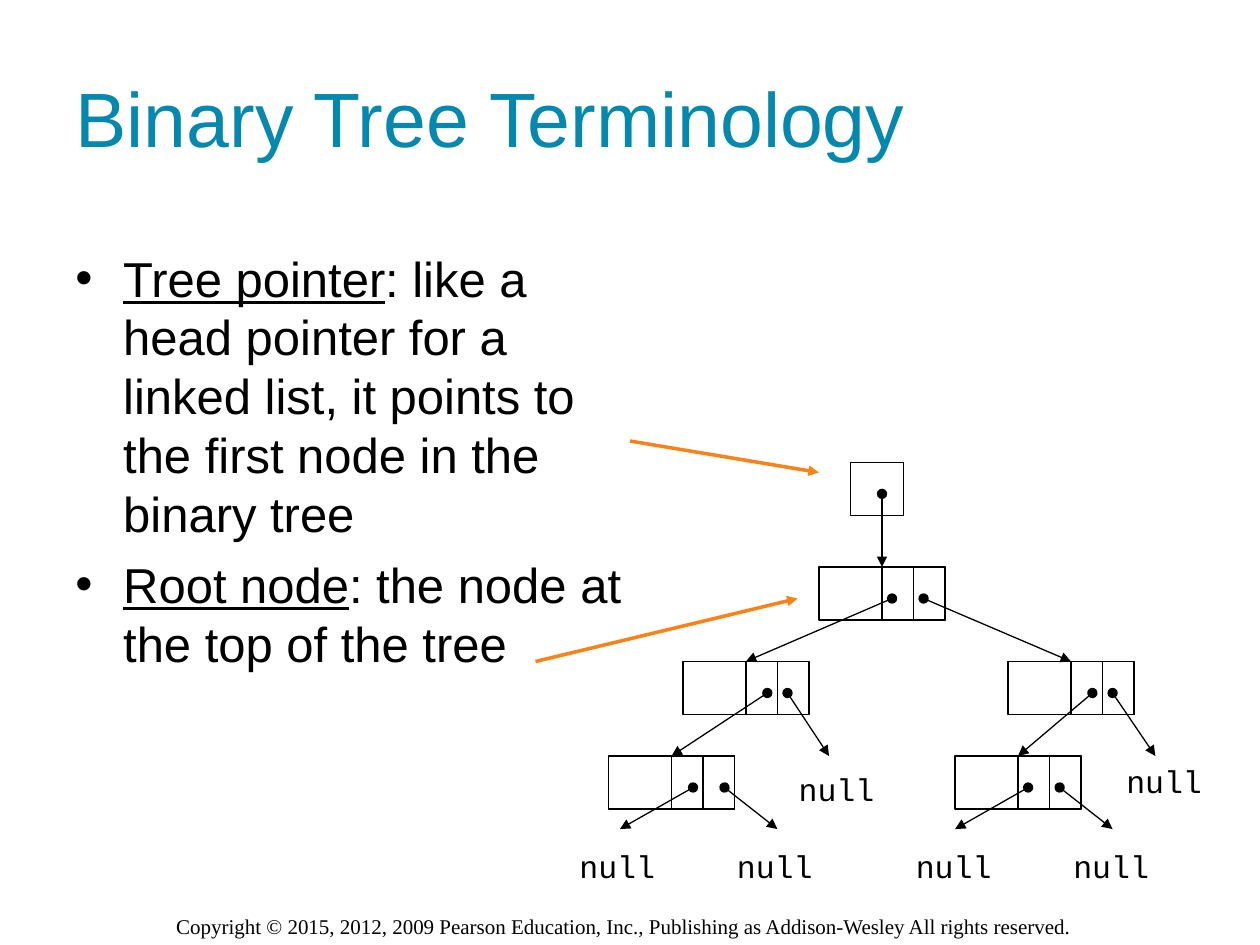
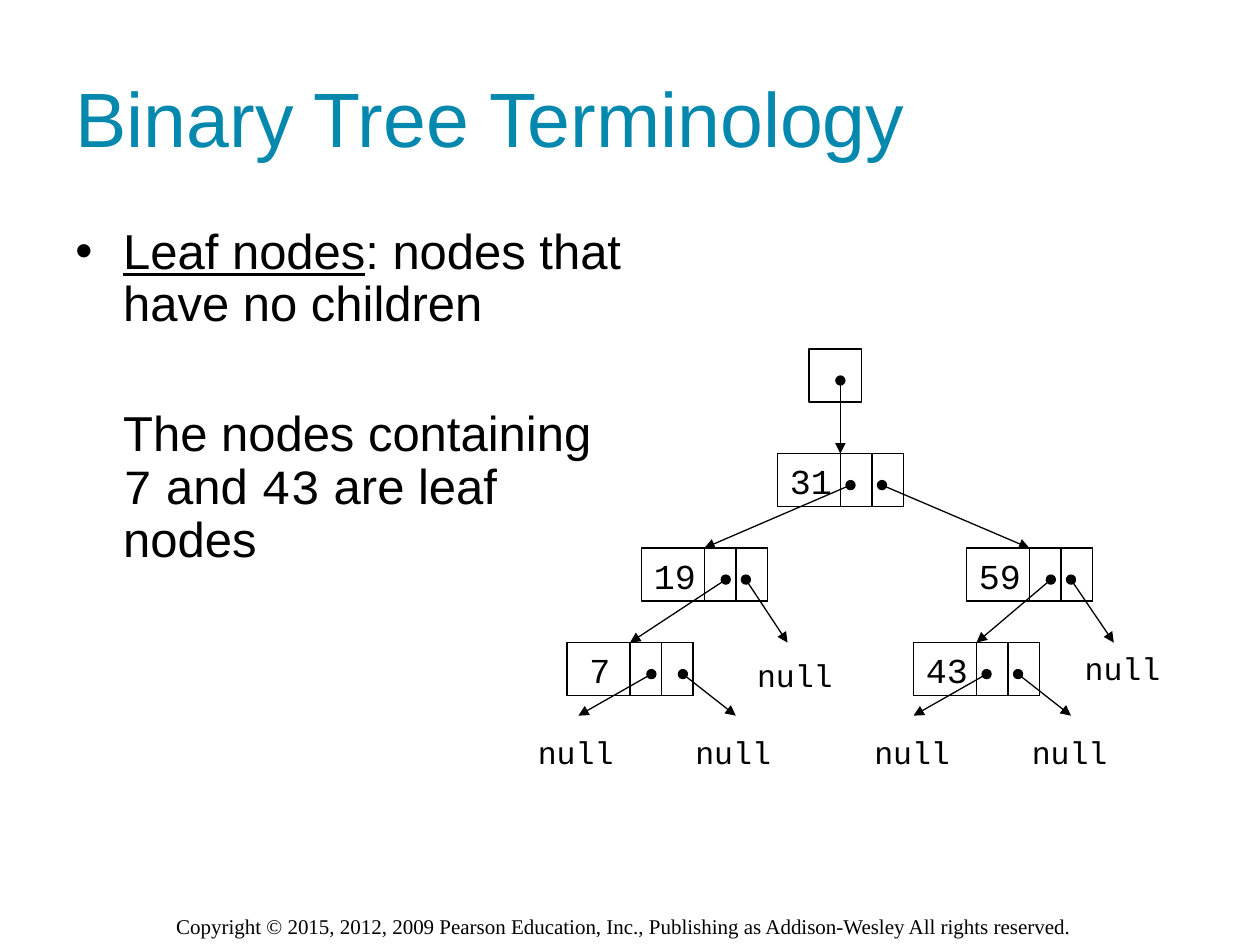
import pptx
import pptx.util
import pptx.dml.color
import pptx.enum.shapes
import pptx.enum.text
import pptx.oxml
from pptx.util import Inches, Pt

BLACK = pptx.dml.color.RGBColor(0x00, 0x00, 0x00)
TEAL = pptx.dml.color.RGBColor(0x04, 0x88, 0xAE)
ORANGE = pptx.dml.color.RGBColor(0xFA, 0x82, 0x18)
SANS, MONO, SERIF = "Arial", "Courier New", "Times New Roman"
NOTICE = ("Copyright © 2015, 2012, 2009 Pearson Education, Inc., "
          "Publishing as Addison-Wesley All rights reserved.")
NS = 'xmlns:a="http://schemas.openxmlformats.org/drawingml/2006/main"'
HIGH = 0.42  # height of a tree cell

# Places in the tree are measured from the corner of the tree pointer.
# Each node: x, y, x of its two link dots, and the two link ends.
NODES = [
    (-0.25, 0.83, (0.58, 0.83), ((-0.83, 1.58), (1.75, 1.58))),
    (1.25, 1.58, (0.67, 0.83), ((1.33, 2.33), (2.42, 2.33))),
    (-1.33, 1.58, (0.67, 0.83), ((-1.42, 2.33), (-0.17, 2.33))),
    (-1.92, 2.33, (0.67, 0.92), ((-1.83, 2.91), (-0.58, 2.91))),
    (0.83, 2.33, (0.58, 0.83), ((0.83, 2.91), (2.08, 2.91))),
]
NULLS = [(-0.51, 2.39), (2.09, 2.33), (-2.25, 3.0), (-1.0, 3.0), (0.42, 3.0), (1.67, 3.0)]

# Body paragraphs are lists of runs: text, font, underlined.
SLIDES = [
    dict(
        body=(1.92, 4.63), pitch=1.0, gap=7, tree=(6.75, 3.67), keys=[],
        text=[
            [("Tree pointer", SANS, True),
             (": like a head pointer for a linked list, it points to "
              "the first node in the binary tree", SANS, False)],
            [("Root node", SANS, True), (": the node at the top of the tree", SANS, False)],
        ],
        bullets=2,
        marks=[(5, 3.5, 6.5, 3.75), (4.25, 5.25, 6.33, 4.75)],
    ),
    dict(
        body=(1.75, 4.54), pitch=0.9, gap=44, tree=(6.42, 2.77),
        keys=["31", "59", "19", "7", "43"],
        text=[
            [("Leaf nodes", SANS, True), (": nodes that have no children", SANS, False)],
            [("The nodes containing ", SANS, False), ("7", MONO, False),
             (" and ", SANS, False), ("43", MONO, False), (" are leaf nodes", SANS, False)],
        ],
        bullets=1,
        marks=[],
    ),
]


def label(slide, text, x, y, wide, high, font, size):
    box = slide.shapes.add_textbox(Inches(x), Inches(y), Inches(wide), Inches(high))
    box.text_frame.word_wrap = True
    box.text_frame.text = text
    face = box.text_frame.paragraphs[0].runs[0].font
    face.name, face.size, face.color.rgb = font, Pt(size), BLACK


def arrow(slide, x1, y1, x2, y2, color, width, dot):
    line = slide.shapes.add_connector(
        pptx.enum.shapes.MSO_CONNECTOR.STRAIGHT,
        Inches(x1), Inches(y1), Inches(x2), Inches(y2))
    line.line.color.rgb = color
    line.line.width = Pt(width)
    ends = line.line._get_or_add_ln()
    if dot:
        ends.append(pptx.oxml.parse_xml(f'<a:headEnd {NS} type="oval"/>'))
    ends.append(pptx.oxml.parse_xml(f'<a:tailEnd {NS} type="triangle"/>'))
    line._element.spPr.append(pptx.oxml.parse_xml(f"<a:effectLst {NS}/>"))


deck = pptx.Presentation()
deck.slide_width, deck.slide_height = Inches(10), Inches(7.5)

for page in SLIDES:
    slide = deck.slides.add_slide(deck.slide_layouts[5])

    # Title and footer
    title = slide.shapes.title
    title.left, title.top = Inches(0.5), Inches(0.3)
    title.width, title.height = Inches(9), Inches(1.25)
    title.text_frame.text = "Binary Tree Terminology"
    title.text_frame.vertical_anchor = pptx.enum.text.MSO_ANCHOR.MIDDLE
    head = title.text_frame.paragraphs[0]
    head.alignment = pptx.enum.text.PP_ALIGN.LEFT
    face = head.runs[0].font
    face.name, face.size, face.color.rgb = SANS, Pt(44), TEAL
    label(slide, NOTICE, 1.3, 7.2, 7.5, 0.3, SERIF, 12)

    # Body text
    top, wide = page["body"]
    body = slide.shapes.add_textbox(Inches(0.5), Inches(top), Inches(wide), Inches(4.5))
    frame = body.text_frame
    frame.word_wrap = True
    for i, parts in enumerate(page["text"]):
        para = frame.add_paragraph() if i else frame.paragraphs[0]
        props = para._p.get_or_add_pPr()
        props.set("marL", str(Inches(0.38)))
        if i < page["bullets"]:
            props.set("indent", str(-Inches(0.38)))
            props.append(pptx.oxml.parse_xml(f'<a:buFont {NS} typeface="{SANS}"/>'))
            props.append(pptx.oxml.parse_xml(f'<a:buChar {NS} char="•"/>'))
        para.line_spacing = page["pitch"]
        if i:
            para.space_before = Pt(page["gap"])
        for text, font, under in parts:
            run = para.add_run()
            run.text = text
            run.font.name, run.font.size = font, Pt(28)
            run.font.color.rgb = BLACK
            run.font.underline = under

    # Tree cells: the pointer, then each node with its two link cells
    left, top = page["tree"]
    cells = [(0, 0, HIGH)]
    for x, y, dots, ends in NODES:
        cells += [(x, y, 1), (x + 0.75, y, 0.25), (x + 0.5, y, 0.25)]
    for x, y, wide in cells:
        cell = slide.shapes.add_shape(
            pptx.enum.shapes.MSO_SHAPE.RECTANGLE,
            Inches(left + x), Inches(top + y), Inches(wide), Inches(HIGH))
        cell.shadow.inherit = False
        cell.fill.background()
        cell.line.color.rgb = BLACK
        cell.line.width = Pt(0.75)

    # Links and labels
    arrow(slide, left + 0.25, top + 0.25, left + 0.25, top + 0.83, BLACK, 0.75, True)
    for x, y, dots, ends in NODES:
        for dot, (endx, endy) in zip(dots, ends):
            arrow(slide, left + x + dot, top + y + 0.25,
                  left + endx, top + endy, BLACK, 0.75, True)
    for x, y in NULLS:
        label(slide, "null", left + x, top + y, 0.85, 0.4, MONO, 18)
    for key, (x, y, dots, ends) in zip(page["keys"], NODES):
        shift, wide = (0.08, 0.4) if len(key) == 1 else (0, 0.58)
        label(slide, key, left + x + shift, top + y, wide, 0.44, MONO, 20)

    for x1, y1, x2, y2 in page["marks"]:
        arrow(slide, x1, y1, x2, y2, ORANGE, 2, False)

deck.save("out.pptx")
